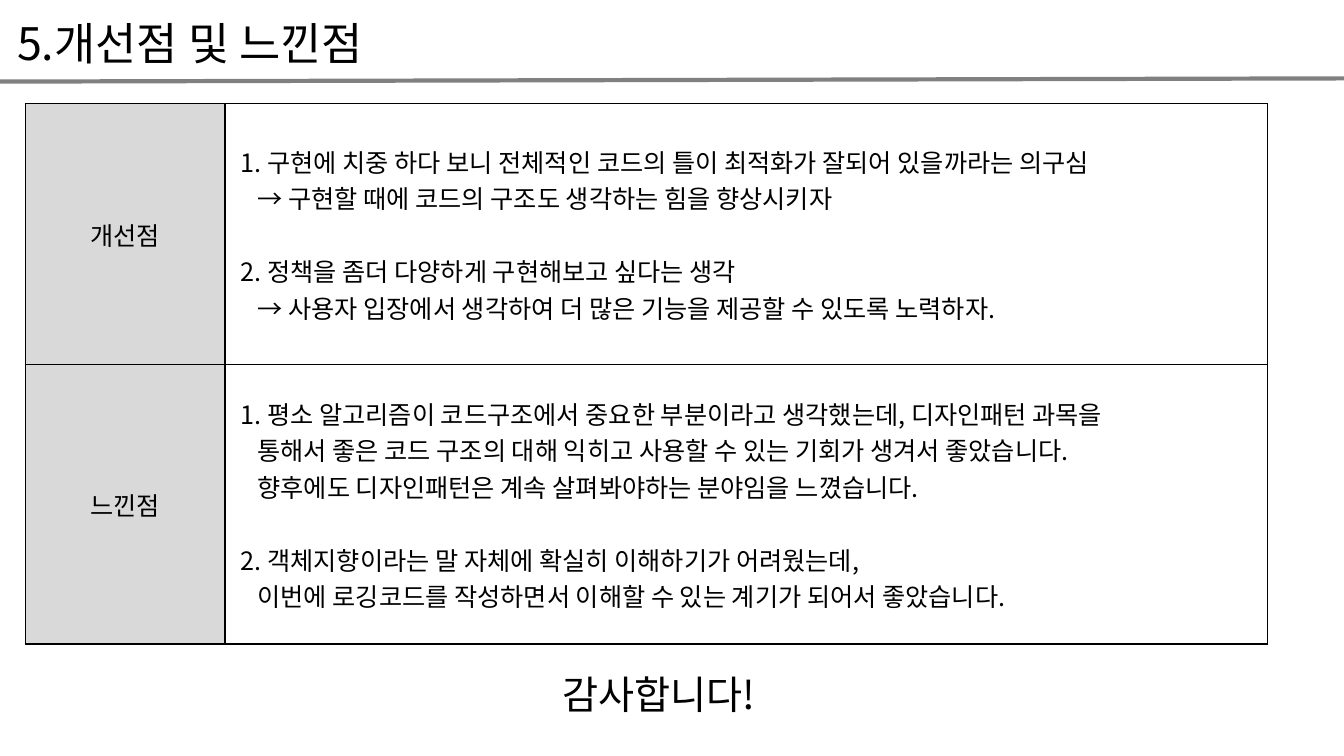
import pptx
import pptx.util
import pptx.dml.color
import pptx.enum.shapes
import pptx.enum.text
import pptx.oxml
import pptx.oxml.ns

Pt = pptx.util.Pt
ALIGN = pptx.enum.text.PP_ALIGN
MIDDLE = pptx.enum.text.MSO_ANCHOR.MIDDLE
FONT = "Noto Sans CJK KR"
COLORS = {"text": "000000", "rule": "808080", "label": "D9D9D9",
          "cell": "FFFFFF", "border": "000000"}
ITEM_INDENT, DETAIL_INDENT, ITEM_GAP = 4, 16, 26

# Each topic: label, row height, items (first line is numbered, the rest are indented)
TOPICS = [
    ("개선점", 186.5, [
        ["구현에 치중 하다 보니 전체적인 코드의 틀이 최적화가 잘되어 있을까라는 의구심",
         "→ 구현할 때에 코드의 구조도 생각하는 힘을 향상시키자"],
        ["정책을 좀더 다양하게 구현해보고 싶다는 생각",
         "→ 사용자 입장에서 생각하여 더 많은 기능을 제공할 수 있도록 노력하자."],
    ]),
    ("느낀점", 199.5, [
        ["평소 알고리즘이 코드구조에서 중요한 부분이라고 생각했는데, 디자인패턴 과목을",
         "통해서 좋은 코드 구조의 대해 익히고 사용할 수 있는 기회가 생겨서 좋았습니다.",
         "향후에도 디자인패턴은 계속 살펴봐야하는 분야임을 느꼈습니다."],
        ["객체지향이라는 말 자체에 확실히 이해하기가 어려웠는데,",
         "이번에 로깅코드를 작성하면서 이해할 수 있는 계기가 되어서 좋았습니다."],
    ]),
]


def rgb(name):
    return pptx.dml.color.RGBColor.from_string(COLORS[name])


def add_xml(parent, tag, **attributes):
    child = pptx.oxml.ns.qn(tag)
    element = parent.makeelement(child, attributes)
    parent.append(element)
    return element


def write_para(para, text, size, align=ALIGN.LEFT):
    para.text = text
    para.alignment = align
    font = para.font
    font.size = Pt(size)
    font.color.rgb = rgb("text")
    font.name = FONT
    add_xml(font._element, "a:ea", typeface=FONT)


def write_box(box, left, top, width, height, text, size, align):
    box.left, box.top, box.width, box.height = Pt(left), Pt(top), Pt(width), Pt(height)
    frame = box.text_frame
    frame.word_wrap = True
    frame.auto_size = pptx.enum.text.MSO_AUTO_SIZE.NONE
    frame.vertical_anchor = MIDDLE
    write_para(frame.paragraphs[0], text, size, align)


def add_rule(page, x1, y1, x2, y2):
    rule = page.shapes.add_connector(pptx.enum.shapes.MSO_CONNECTOR.STRAIGHT,
                                     Pt(x1), Pt(y1), Pt(x2), Pt(y2))
    rule.line.color.rgb = rgb("rule")
    rule.line.width = Pt(3)
    add_xml(rule._element.spPr, "a:effectLst")


def style_cell(cell, color):
    cell.vertical_anchor = MIDDLE
    properties = cell._tc.get_or_add_tcPr()
    # Borders come before the fill in the cell properties
    for side in ("a:lnL", "a:lnR", "a:lnT", "a:lnB"):
        line = add_xml(properties, side, w=str(Pt(1)))
        add_xml(add_xml(line, "a:solidFill"), "a:srgbClr", val=COLORS["border"])
    cell.fill.solid()
    cell.fill.fore_color.rgb = rgb(color)


def write_items(frame, items):
    para = None
    for number, lines in enumerate(items, 1):
        for position, line in enumerate(lines):
            para = frame.add_paragraph() if para else frame.paragraphs[0]
            first = position == 0
            write_para(para, f"{number}. {line}" if first else line, 18)
            indent = ITEM_INDENT if first else DETAIL_INDENT
            para._p.get_or_add_pPr().set("marL", str(Pt(indent)))
            if first and number > 1:
                para.space_before = Pt(ITEM_GAP)


def add_topic_table(page, left, top, widths):
    height = sum(topic[1] for topic in TOPICS)
    table = page.shapes.add_table(len(TOPICS), len(widths), Pt(left), Pt(top),
                                  Pt(sum(widths)), Pt(height)).table
    table.first_row = table.horz_banding = False
    for column, width in zip(table.columns, widths):
        column.width = Pt(width)
    for index, (label, row_height, items) in enumerate(TOPICS):
        table.rows[index].height = Pt(row_height)
        label_cell, item_cell = table.cell(index, 0), table.cell(index, 1)
        style_cell(label_cell, "label")
        style_cell(item_cell, "cell")
        write_para(label_cell.text_frame.paragraphs[0], label, 18, ALIGN.CENTER)
        write_items(item_cell.text_frame, items)


def main():
    deck = pptx.Presentation()
    deck.slide_width, deck.slide_height = Pt(960), Pt(540)
    page = deck.slides.add_slide(deck.slide_layouts[5])

    # Heading and rule
    add_rule(page, 0, 58.3, 960, 56)
    write_box(page.shapes.title, 5, 7.2, 631.5, 46, "5.개선점 및 느낀점", 32, ALIGN.LEFT)

    # Topics
    add_topic_table(page, 18, 74, (142.8, 744.5))

    # Closing words
    closing = page.shapes.add_textbox(0, 0, 0, 0)
    write_box(closing, 59.8, 475.2, 821.5, 41, "감사합니다!", 28, ALIGN.CENTER)

    deck.save("out.pptx")


main()
